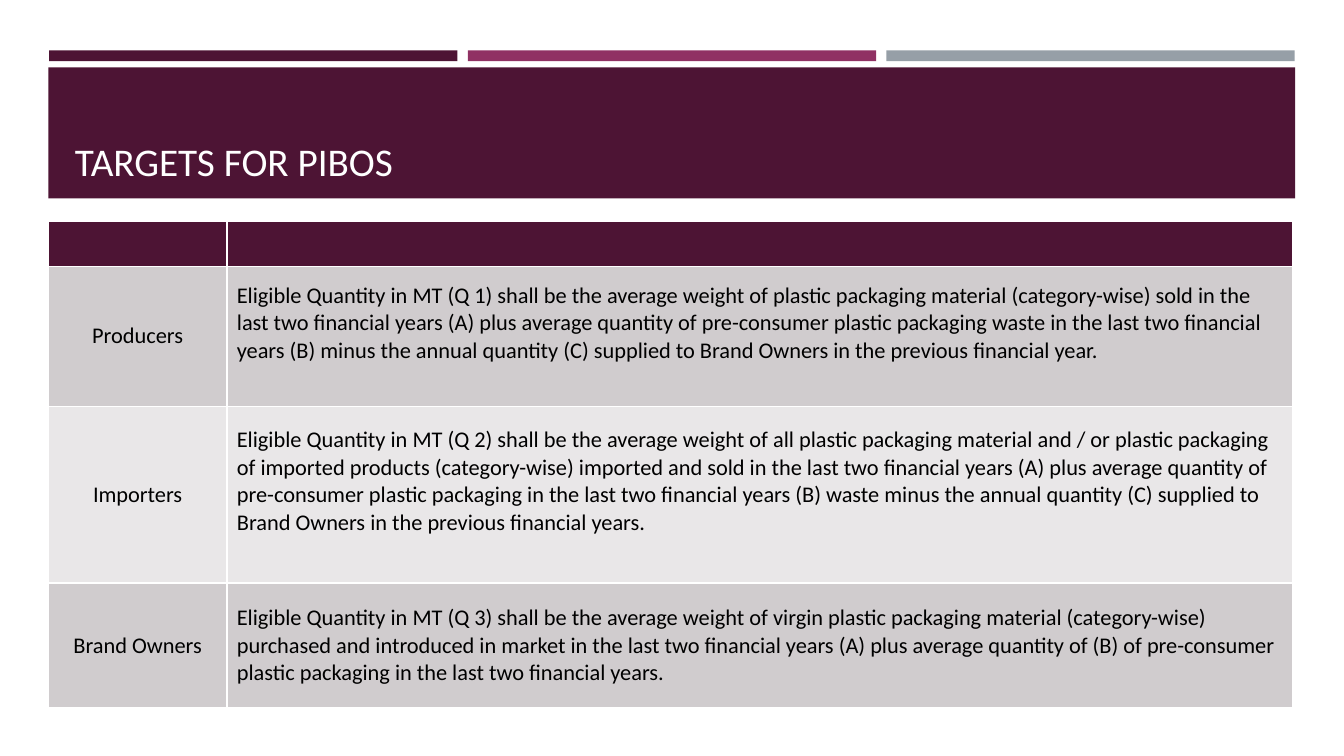
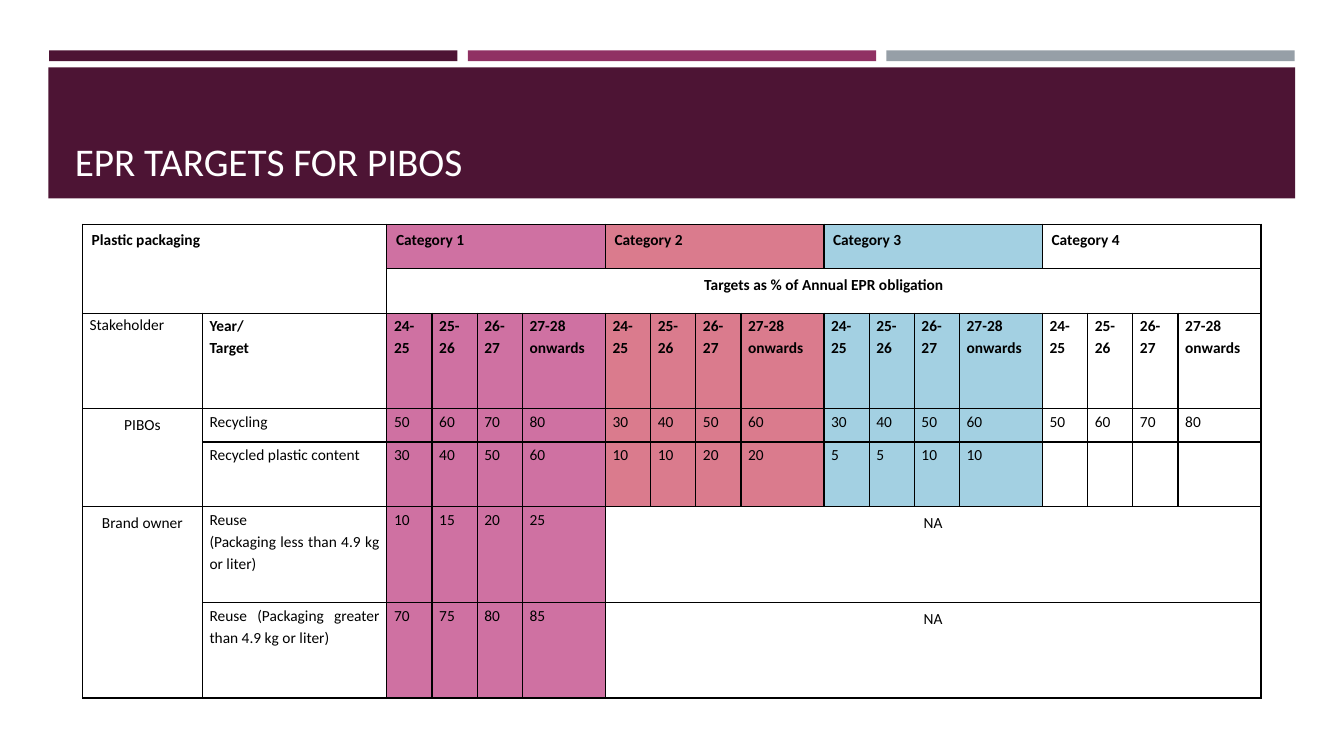
from dataclasses import dataclass, replace
from typing import Optional

from lxml import etree
from pptx import Presentation
from pptx.dml.color import RGBColor
from pptx.enum.shapes import MSO_SHAPE
from pptx.enum.text import MSO_ANCHOR, PP_ALIGN
from pptx.oxml.ns import qn
from pptx.util import Cm, Pt

RECTANGLE = MSO_SHAPE.RECTANGLE
LEFT, CENTER, JUSTIFY = PP_ALIGN.LEFT, PP_ALIGN.CENTER, PP_ALIGN.JUSTIFY
TOP, MIDDLE, BOTTOM = MSO_ANCHOR.TOP, MSO_ANCHOR.MIDDLE, MSO_ANCHOR.BOTTOM

FONT = "Calibri"
PLUM, MAGENTA, GREY = "4D1434", "903163", "969FA7"
WHITE, BLACK = "FFFFFF", "000000"
ROW_DARK, ROW_LIGHT = "D0CCCE", "E9E7E8"


@dataclass(frozen=True)
class Band:
    left: float
    top: float
    width: float
    height: float
    fill: str


@dataclass(frozen=True)
class CellStyle:
    size: float
    align: int = LEFT
    anchor: int = TOP
    bold: bool = False
    line_spacing: float = 1.0
    margins: tuple[float, float, float, float] = (0.25, 0.13, 0.25, 0.13)


@dataclass(frozen=True)
class TableCell:
    row: int
    column: int
    text: str
    style: CellStyle
    fill: Optional[str] = None
    row_span: int = 1
    column_span: int = 1


@dataclass(frozen=True)
class Stakeholder:
    name: str
    rule: str
    fill: str
    row_height: float
    bottom_margin: float = 0.13


@dataclass(frozen=True)
class Category:
    name: str
    fill: Optional[str]
    recycling: tuple[str, ...]
    recycled_content: tuple[str, ...]


# Three accent strips at an equal step, above the title banner
STRIP_STEP = 10.55
BANDS = [
    Band(1.24 + STRIP_STEP * index, 1.27, 10.29, 0.27, fill)
    for index, fill in enumerate((PLUM, MAGENTA, GREY))
] + [Band(1.22, 1.7, 31.42, 3.3, PLUM)]

STAKEHOLDERS = [
    Stakeholder(
        "Producers",
        "Eligible Quantity in MT (Q 1) shall be the average weight of plastic packaging "
        "material (category-wise) sold in the last two financial years (A) plus average "
        "quantity of pre-consumer plastic packaging waste in the last two financial years "
        "(B) minus the annual quantity (C) supplied to Brand Owners in the previous "
        "financial year.",
        ROW_DARK, 3.53, 0.8),
    Stakeholder(
        "Importers",
        "Eligible Quantity in MT (Q 2) shall be the average weight of all plastic packaging "
        "material and / or plastic packaging of imported products (category-wise) imported "
        "and sold in the last two financial years (A) plus average quantity of pre-consumer "
        "plastic packaging in the last two financial years (B) waste minus the annual "
        "quantity (C) supplied to Brand Owners in the previous financial years.",
        ROW_LIGHT, 4.45, 0.8),
    Stakeholder(
        "Brand Owners",
        "Eligible Quantity in MT (Q 3) shall be the average weight of virgin plastic "
        "packaging material (category-wise) purchased and introduced in market in the last "
        "two financial years (A) plus average quantity of (B) of pre-consumer plastic "
        "packaging in the last two financial years.",
        ROW_DARK, 3.15),
]

YEARS = ("24-25", "25-26", "26-27", "27-28 onwards")
CATEGORIES = [
    Category("Category 1", "CF71A2", ("50", "60", "70", "80"), ("30", "40", "50", "60")),
    Category("Category 2", "DA7B8D", ("30", "40", "50", "60"), ("10", "10", "20", "20")),
    Category("Category 3", "A3D0E2", ("30", "40", "50", "60"), ("5", "5", "10", "10")),
    Category("Category 4", None, ("50", "60", "70", "80"), ("", "", "", "")),
]
REUSE = [
    ("Reuse\n(Packaging less than 4.9 kg or liter)", ("10", "15", "20", "25")),
    ("Reuse (Packaging greater than 4.9 kg or liter)", ("70", "75", "80", "85")),
]


def color(hex_value: str) -> RGBColor:
    return RGBColor.from_string(hex_value)


def add_band(slide, band: Band) -> None:
    shape = slide.shapes.add_shape(
        RECTANGLE, Cm(band.left), Cm(band.top), Cm(band.width), Cm(band.height))
    shape.shadow.inherit = False
    shape.fill.solid()
    shape.fill.fore_color.rgb = color(band.fill)
    shape.line.fill.background()


def add_titled_slide(presentation, text: str):
    slide = presentation.slides.add_slide(presentation.slide_layouts[5])
    for band in BANDS:
        add_band(slide, band)
    title = slide.shapes.title
    title.left, title.top, title.width, title.height = Cm(1.63), Cm(1.96), Cm(30.63), Cm(2.82)
    title.text_frame.text = text
    title.text_frame.vertical_anchor = BOTTOM
    paragraph = title.text_frame.paragraphs[0]
    paragraph.alignment = LEFT
    paragraph.font.name, paragraph.font.size = FONT, Pt(28)
    paragraph.font.color.rgb = color(WHITE)
    # Bring the title in front of its banner
    title.element.getparent().append(title.element)
    return slide


def set_borders(cell, hex_value: str) -> None:
    properties = cell._tc.get_or_add_tcPr()
    for index, side in enumerate(("lnL", "lnR", "lnT", "lnB")):
        line = etree.Element(qn(f"a:{side}"), w=str(Pt(1)))
        fill = etree.SubElement(line, qn("a:solidFill"))
        etree.SubElement(fill, qn("a:srgbClr"), val=hex_value)
        properties.insert(index, line)


def fill_cell(table, content: TableCell) -> None:
    cell = table.cell(content.row, content.column)
    style = content.style
    if content.row_span > 1 or content.column_span > 1:
        cell.merge(table.cell(content.row + content.row_span - 1,
                              content.column + content.column_span - 1))
    if content.fill:
        cell.fill.solid()
        cell.fill.fore_color.rgb = color(content.fill)
    cell.vertical_anchor = style.anchor
    cell.margin_left, cell.margin_top, cell.margin_right, cell.margin_bottom = (
        Cm(margin) for margin in style.margins)
    cell.text_frame.text = content.text
    for paragraph in cell.text_frame.paragraphs:
        paragraph.alignment = style.align
        paragraph.line_spacing = style.line_spacing
        paragraph.font.name, paragraph.font.size = FONT, Pt(style.size)
        paragraph.font.bold = style.bold
        paragraph.font.color.rgb = color(BLACK)


def add_grid(slide, left: float, top: float, widths: list[float], heights: list[float],
             border: str, contents: list[TableCell]) -> None:
    table = slide.shapes.add_table(
        len(heights), len(widths), Cm(left), Cm(top),
        Cm(sum(widths)), Cm(sum(heights))).table
    table.first_row = table.horz_banding = False
    for column, width in zip(table.columns, widths):
        column.width = Cm(width)
    for row, height in zip(table.rows, heights):
        row.height = Cm(height)
    for cell in table.iter_cells():
        cell.fill.background()
        set_borders(cell, border)
    for content in contents:
        fill_cell(table, content)


def add_quantity_slide(presentation) -> None:
    slide = add_titled_slide(presentation, "TARGETS FOR PIBOS")
    rule_style = CellStyle(16, anchor=MIDDLE)
    name_style = replace(rule_style, align=CENTER)
    contents = [TableCell(0, column, "", rule_style, PLUM) for column in range(2)]
    for row, stakeholder in enumerate(STAKEHOLDERS, start=1):
        padded = replace(rule_style, margins=(0.25, 0.13, 0.25, stakeholder.bottom_margin))
        contents += [
            TableCell(row, 0, stakeholder.name, name_style, stakeholder.fill),
            TableCell(row, 1, stakeholder.rule, padded, stakeholder.fill),
        ]
    heights = [1.12] + [stakeholder.row_height for stakeholder in STAKEHOLDERS]
    add_grid(slide, 1.22, 5.59, [4.5, 26.85], heights, WHITE, contents)


def add_target_slide(presentation) -> None:
    slide = add_titled_slide(presentation, "EPR TARGETS FOR PIBOS")
    body = CellStyle(11, JUSTIFY, line_spacing=1.15, margins=(0.18, 0.03, 0.18, 0))
    year_style = replace(body, bold=True)
    spanning = replace(body, align=CENTER, margins=(0.23, 0.1, 0.23, 0.1))
    heading = replace(spanning, align=JUSTIFY, bold=True)

    # Headings and row labels
    contents = [
        TableCell(0, 0, "Plastic packaging", heading, row_span=2, column_span=2),
        TableCell(1, 2, "Targets as % of Annual EPR obligation",
                  replace(spanning, bold=True), column_span=16),
        TableCell(2, 0, "Stakeholder", replace(body, align=LEFT, line_spacing=1.07)),
        TableCell(2, 1, "Year/\nTarget", year_style),
        TableCell(3, 0, "PIBOs", spanning, row_span=2),
        TableCell(3, 1, "Recycling", body),
        TableCell(4, 1, "Recycled plastic content", body),
        TableCell(5, 0, "Brand owner", spanning, row_span=2),
    ]

    # Four year columns for each category
    for index, category in enumerate(CATEGORIES):
        first = 2 + index * len(YEARS)
        contents.append(TableCell(0, first, category.name, heading, category.fill,
                                  column_span=len(YEARS)))
        value_rows = ((YEARS, year_style), (category.recycling, body),
                      (category.recycled_content, body))
        for row, (values, style) in enumerate(value_rows, start=2):
            contents += [TableCell(row, first + offset, value, style, category.fill)
                         for offset, value in enumerate(values)]

    # Reuse applies to the first category only
    for row, (label, values) in enumerate(REUSE, start=5):
        contents.append(TableCell(row, 1, label, body))
        contents += [TableCell(row, column, value, body, CATEGORIES[0].fill)
                     for column, value in enumerate(values, start=2)]
        contents.append(TableCell(row, 6, "NA", spanning, column_span=12))

    widths = [3.02, 4.65] + [1.14, 1.14, 1.14, 2.09] * len(CATEGORIES)
    heights = [1.12, 1.12, 2.41, 0.84, 1.63, 2.41, 2.41]
    add_grid(slide, 2.08, 5.65, widths, heights, BLACK, contents)


def main() -> None:
    presentation = Presentation()
    presentation.slide_width, presentation.slide_height = Cm(33.87), Cm(19.05)
    add_quantity_slide(presentation)
    add_target_slide(presentation)
    presentation.save("out.pptx")


if __name__ == "__main__":
    main()
